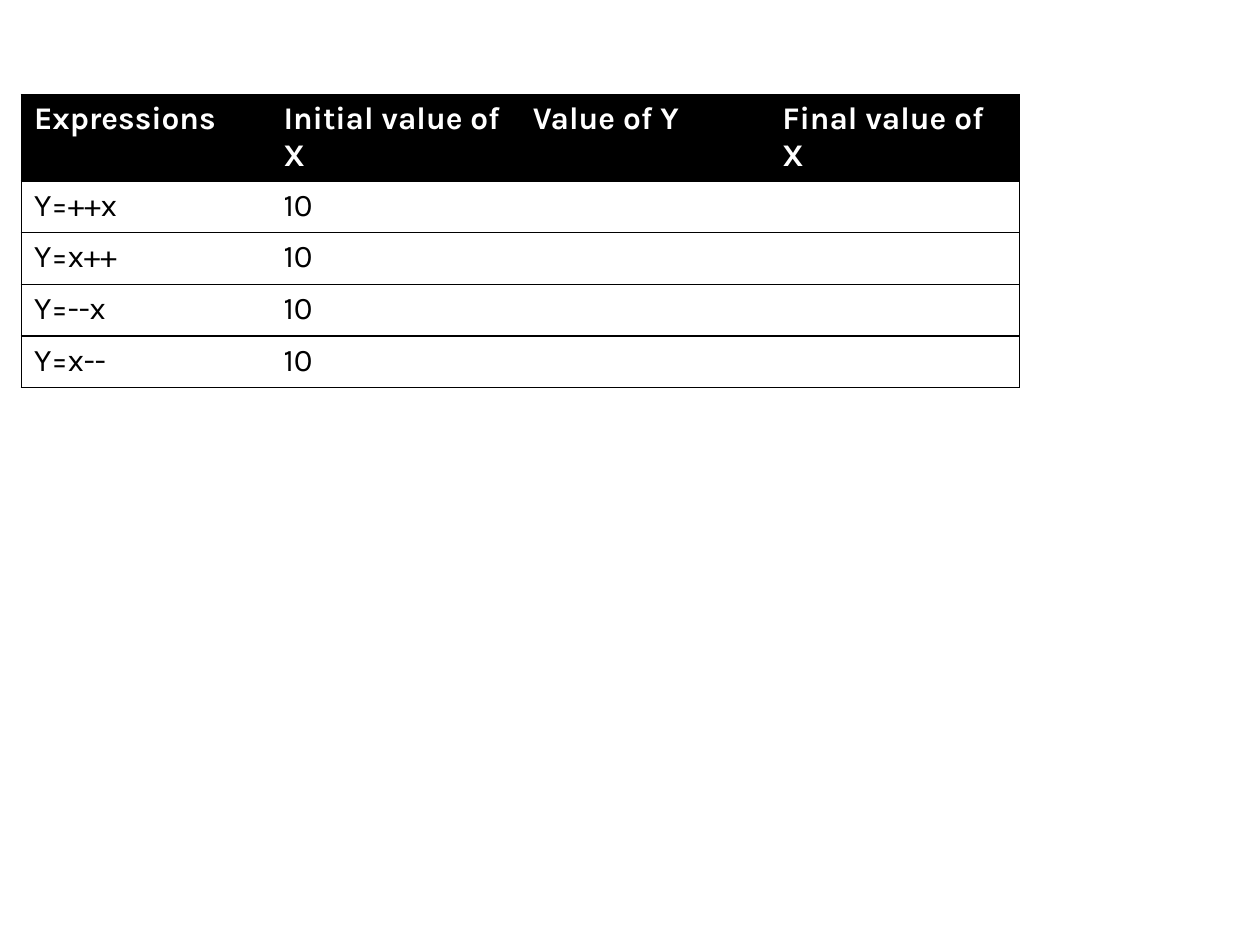
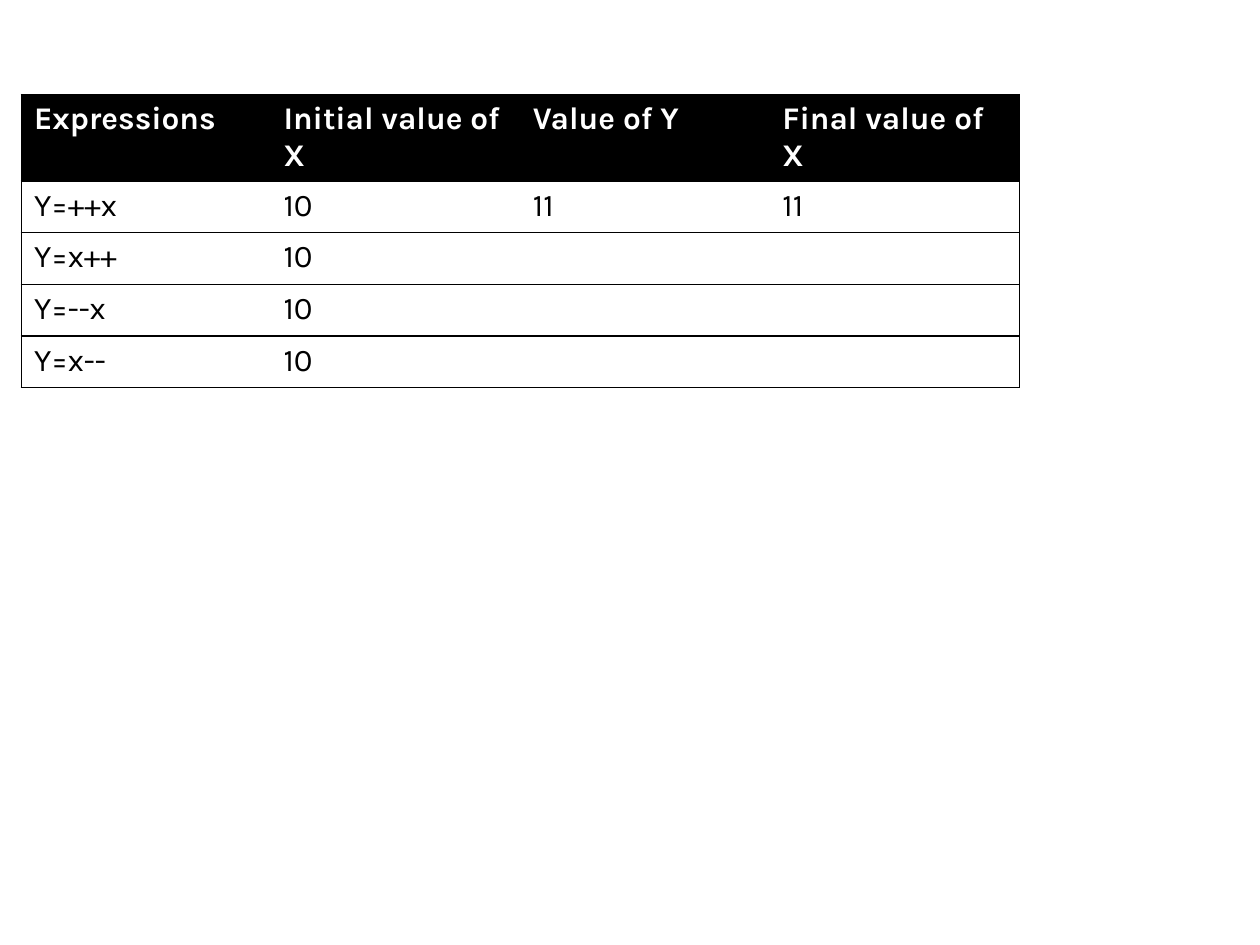
from dataclasses import dataclass

from lxml.etree import SubElement
from pptx import Presentation
from pptx.dml.color import RGBColor
from pptx.oxml.ns import qn
from pptx.util import Inches, Pt


@dataclass(frozen=True)
class Theme:
    font: str = "Karla"
    text_size: float = 18
    border_width: float = 0.9
    dark: str = "000000"
    light: str = "FFFFFF"


HEADINGS = ["Expressions", "Initial value of X", "Value of Y", "Final value of X"]
EXPRESSIONS = ["Y=++x", "Y=x++", "Y=--x", "Y=x--"]
INITIAL_VALUE = "10"
COLUMN_WIDTH = 1.98
ROW_HEIGHT = 0.41


class SlideBuilder:
    def __init__(self, presentation, theme):
        self.presentation = presentation
        self.theme = theme
        self.slide = None

    def add_slide(self):
        blank_layout = self.presentation.slide_layouts[6]
        self.slide = self.presentation.slides.add_slide(blank_layout)
        self.slide.background.fill.solid()
        self.slide.background.fill.fore_color.rgb = RGBColor.from_string(self.theme.light)

    def add_table(self, rows, left, top):
        column_count = len(rows[0])
        table = self.slide.shapes.add_table(
            len(rows), column_count, Inches(left), Inches(top),
            Inches(COLUMN_WIDTH * column_count), Inches(ROW_HEIGHT * len(rows)),
        ).table
        table.first_row = False
        table.horz_banding = False
        for column in table.columns:
            column.width = Inches(COLUMN_WIDTH)
        for row_index, values in enumerate(rows):
            table.rows[row_index].height = Inches(ROW_HEIGHT)
            for column_index, text in enumerate(values):
                cell = table.cell(row_index, column_index)
                is_header = row_index == 0
                self.set_borders(cell, column_index == 0, column_index == column_count - 1)
                self.fill_cell(cell, is_header)
                self.write_cell(cell, text, is_header)

    def set_borders(self, cell, has_left, has_right):
        properties = cell._tc.get_or_add_tcPr()
        sides = {"L": has_left, "R": has_right, "T": True, "B": True}
        for side, visible in sides.items():
            line = SubElement(properties, qn(f"a:ln{side}"))
            if visible:
                line.set("w", str(int(Pt(self.theme.border_width))))
                fill = SubElement(line, qn("a:solidFill"))
                SubElement(fill, qn("a:srgbClr")).set("val", self.theme.dark)
            else:
                SubElement(line, qn("a:noFill"))

    def fill_cell(self, cell, is_header):
        if is_header:
            cell.fill.solid()
            cell.fill.fore_color.rgb = RGBColor.from_string(self.theme.dark)
        else:
            cell.fill.background()

    def write_cell(self, cell, text, is_header):
        if not text:
            return
        run = cell.text_frame.paragraphs[0].add_run()
        run.text = text
        run.font.name = self.theme.font
        run.font.size = Pt(self.theme.text_size)
        run.font.bold = is_header
        color = self.theme.light if is_header else self.theme.dark
        run.font.color.rgb = RGBColor.from_string(color)


def expression_rows(answers):
    return [HEADINGS] + [
        [expression, INITIAL_VALUE, *answers.get(expression, ("", ""))]
        for expression in EXPRESSIONS
    ]


def main():
    presentation = Presentation()
    presentation.slide_width = Inches(10)
    presentation.slide_height = Inches(7.5)
    builder = SlideBuilder(presentation, Theme())
    for answers in ({}, {"Y=++x": ("11", "11")}):
        builder.add_slide()
        builder.add_table(expression_rows(answers), 0.17, 0.75)
    presentation.save("out.pptx")


if __name__ == "__main__":
    main()
